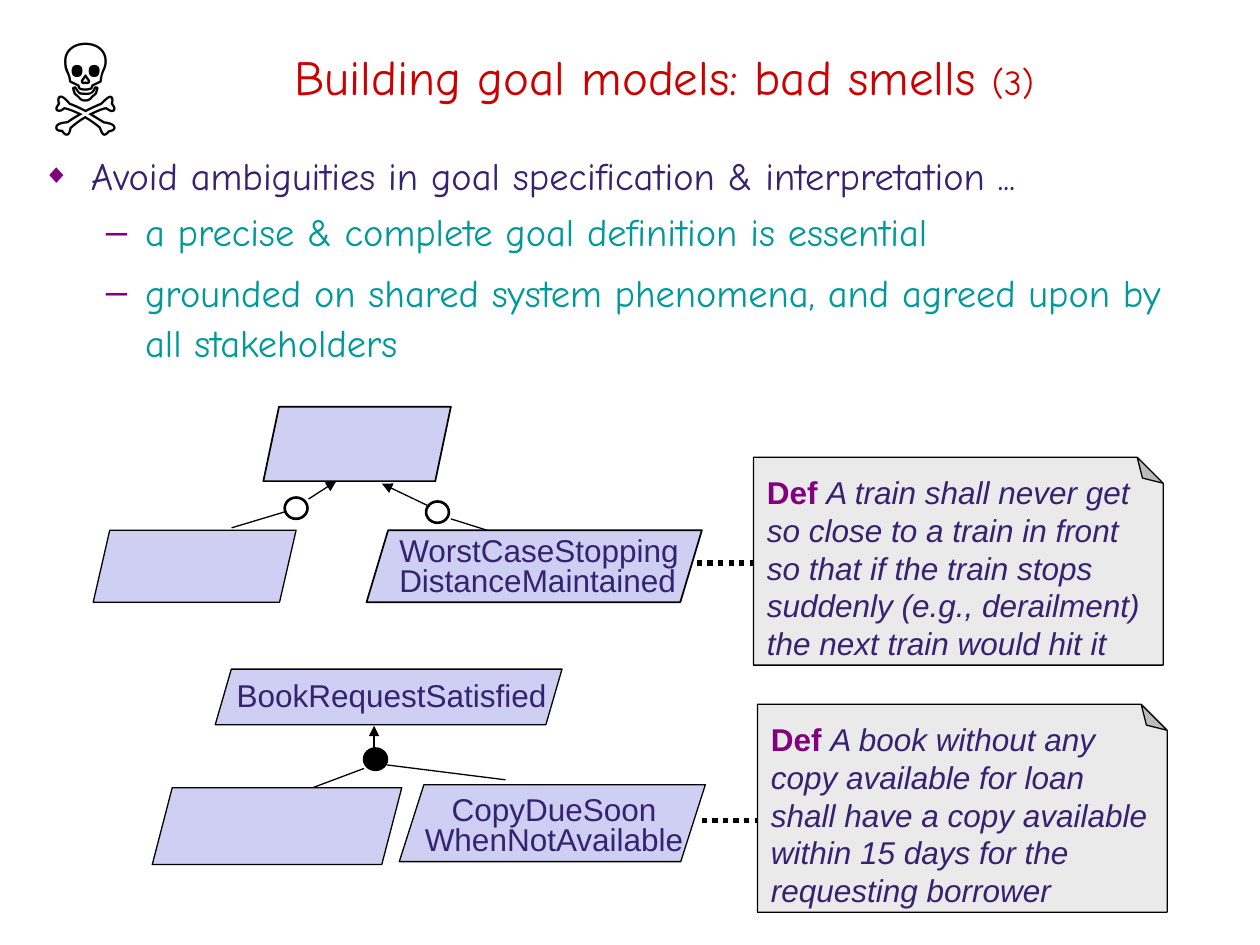
from dataclasses import dataclass
from typing import NamedTuple, Optional

from lxml import etree
from pptx import Presentation
from pptx import util as u
from pptx.dml.color import RGBColor
from pptx.enum import dml, shapes, text
from pptx.oxml import ns


@dataclass(frozen=True)
class Theme:
    title: str = "CC0000"
    ink: str = "352270"
    accent: str = "800080"
    detail: str = "009999"
    goal: str = "CECFF2"
    note: str = "EAEAEA"
    black: str = "000000"
    heading_font: str = "Comic Neue"
    label_font: str = "Arial"
    title_size: int = 28
    number_size: int = 20
    body_size: int = 22
    label_size: int = 18
    symbol_size: int = 54


THEME = Theme()


class Box(NamedTuple):
    """Left, top, width and height in centimetres."""
    left: float
    top: float
    width: float
    height: float

    def lengths(self) -> list:
        return [u.Cm(value) for value in self]


class Goal(NamedTuple):
    box: Box
    slant: float
    line_width: float = 0.75


class Label(NamedTuple):
    box: Box
    lines: tuple
    align: Optional[text.PP_ALIGN] = None
    spacing: float = 0.8


class Link(NamedTuple):
    start: tuple
    end: tuple
    arrow: bool = False
    dotted: bool = False


class Joint(NamedTuple):
    left: float
    top: float
    filled: bool = False


class Note(NamedTuple):
    left: float
    top: float
    definition: str


class Bullet(NamedTuple):
    words: str
    level: int
    colour: str
    symbol: str
    symbol_percent: int
    indent: float
    hanging: float
    line_spacing: float
    space_before: float


GOALS = [
    Goal(Box(5.31, 8.2, 3.78, 1.5), 0.21, 1),
    Goal(Box(1.88, 10.69, 4.09, 1.45), 0.23),
    Goal(Box(7.39, 10.69, 6.76, 1.45), 0.3, 1),
    Goal(Box(4.34, 13.49, 6.99, 1.12), 0.29),
    Goal(Box(3.07, 15.88, 5.03, 1.55), 0.26),
    Goal(Box(8.05, 15.82, 6.17, 1.55), 0.32),
]
LABELS = [
    Label(Box(7.8, 10.72, 6.38, 1.35), ("WorstCaseStopping", "DistanceMaintained")),
    Label(Box(4.52, 13.51, 6.78, 0.99), ("BookRequestSatisfied",), spacing=1.0),
    Label(Box(8.26, 15.95, 5.82, 1.45), ("CopyDueSoon", "WhenNotAvailable"),
          text.PP_ALIGN.CENTER),
]
LINKS = [
    Link((4.67, 10.64), (5.77, 10.31)),
    Link((6.22, 10.06), (6.78, 9.7), arrow=True),
    Link((10.49, 10.9), (9.09, 10.46)),
    Link((8.66, 10.21), (7.7, 9.75), arrow=True),
    Link((14.05, 11.35), (15.37, 11.35), dotted=True),
    Link((6.3, 15.88), (7.34, 15.49)),
    Link((10.19, 15.72), (7.8, 15.42)),
    Link((7.54, 15.14), (7.54, 14.63), arrow=True),
    Link((14.15, 16.54), (15.47, 16.54), dotted=True),
]
JOINTS = [Joint(5.74, 10.03), Joint(8.59, 10.11), Joint(7.34, 15.09, filled=True)]
NOTES = [
    Note(15.19, 9.22, "A train shall never get so close to a train in front so that if "
         "the train stops suddenly (e.g., derailment) the next train would hit it"),
    Note(15.27, 14.2, "A book without any copy available for loan shall have a copy "
         "available within 15 days for the requesting borrower"),
]
BULLETS = [
    Bullet("Avoid ambiguities in goal specification & interpretation ...",
           0, THEME.ink, "◆", 70, 0.97, 0.97, 1.3, 0),
    Bullet("a precise & complete goal definition is essential",
           1, THEME.detail, "–", 100, 2.06, 0.79, 1.0, 5.5),
    Bullet("grounded on shared system phenomena, and agreed upon by all stakeholders",
           1, THEME.detail, "–", 100, 2.06, 0.79, 1.1, 5.5),
]


def add_run(paragraph, words: str, *, size: float = THEME.label_size,
            colour: str = THEME.ink, font: str = THEME.label_font,
            bold: bool = False, italic: bool = False) -> None:
    run = paragraph.add_run()
    run.text = words
    run.font.size, run.font.name = u.Pt(size), font
    run.font.bold, run.font.italic = bold, italic
    run.font.color.rgb = RGBColor.from_string(colour)


def paragraph_at(frame, index: int):
    return frame.add_paragraph() if index else frame.paragraphs[0]


def add_text_box(slide, box: Box):
    frame = slide.shapes.add_textbox(*box.lengths()).text_frame
    frame.word_wrap = True
    return frame


def add_preset(slide, kind, box: Box, fill: Optional[str], line_width: float):
    shape = slide.shapes.add_shape(kind, *box.lengths())
    shape.shadow.inherit = False
    if fill:
        shape.fill.solid()
        shape.fill.fore_color.rgb = RGBColor.from_string(fill)
    else:
        shape.fill.background()
    shape.line.color.rgb = RGBColor.from_string(THEME.black)
    shape.line.width = u.Pt(line_width)
    return shape


def add_goal(slide, goal: Goal) -> None:
    shape = add_preset(slide, shapes.MSO_SHAPE.PARALLELOGRAM, goal.box, THEME.goal,
                       goal.line_width)
    shape.adjustments[0] = goal.slant


def add_label(slide, label: Label) -> None:
    frame = add_text_box(slide, label.box)
    for index, words in enumerate(label.lines):
        paragraph = paragraph_at(frame, index)
        paragraph.alignment, paragraph.line_spacing = label.align, label.spacing
        add_run(paragraph, words)


def add_link(slide, link: Link) -> None:
    points = [u.Cm(value) for value in (*link.start, *link.end)]
    connector = slide.shapes.add_connector(shapes.MSO_CONNECTOR.STRAIGHT, *points)
    connector.line.color.rgb = RGBColor.from_string(THEME.black)
    connector.line.width = u.Pt(3 if link.dotted else 0.75)
    if link.dotted:
        connector.line.dash_style = dml.MSO_LINE.ROUND_DOT
    if link.arrow:
        etree.SubElement(connector.line._get_or_add_ln(), ns.qn("a:tailEnd"), type="triangle")
    etree.SubElement(connector._element.spPr, ns.qn("a:effectLst"))


def add_joint(slide, joint: Joint) -> None:
    add_preset(slide, shapes.MSO_SHAPE.OVAL, Box(joint.left, joint.top, 0.46, 0.43),
               THEME.black if joint.filled else None, 1.5)


def add_note(slide, note: Note) -> None:
    """Draw a sheet folded at its top right corner, with its definition on it."""
    properties = add_preset(slide, shapes.MSO_SHAPE.FOLDED_CORNER,
                            Box(note.left, note.top, 8.26, 4.19), THEME.note, 0.75)._element.spPr
    guides = properties.find(ns.qn("a:prstGeom")).get_or_add_avLst()
    etree.SubElement(guides, ns.qn("a:gd"), name="adj", fmla="val 12500")
    properties.find(ns.qn("a:xfrm")).set("flipV", "1")
    frame = add_text_box(slide, Box(note.left + 0.02, note.top + 0.19, 8.23, 3.96))
    add_run(frame.paragraphs[0], "Def ", colour=THEME.accent, bold=True)
    add_run(frame.paragraphs[0], note.definition, italic=True)


def add_bullet(paragraph, bullet: Bullet) -> None:
    paragraph.level = bullet.level
    properties = paragraph._p.get_or_add_pPr()
    properties.set("marL", str(u.Cm(bullet.indent)))
    properties.set("indent", str(-u.Cm(bullet.hanging)))
    colour = etree.SubElement(properties, ns.qn("a:buClr"))
    etree.SubElement(colour, ns.qn("a:srgbClr"), val=THEME.accent)
    etree.SubElement(properties, ns.qn("a:buSzPct"), val=str(bullet.symbol_percent * 1000))
    etree.SubElement(properties, ns.qn("a:buChar"), char=bullet.symbol)
    paragraph.line_spacing = bullet.line_spacing
    paragraph.space_before = u.Pt(bullet.space_before)
    add_run(paragraph, bullet.words, size=THEME.body_size, colour=bullet.colour,
            font=THEME.heading_font)


def place(placeholder, box: Box):
    placeholder.left, placeholder.top, placeholder.width, placeholder.height = box.lengths()
    frame = placeholder.text_frame
    frame.auto_size = text.MSO_AUTO_SIZE.NONE
    frame.vertical_anchor = text.MSO_ANCHOR.MIDDLE
    return frame


def fill_placeholders(slide) -> None:
    heading = place(slide.shapes.title, Box(1.37, 0.56, 24.03, 2.11)).paragraphs[0]
    heading.alignment, heading.line_spacing = text.PP_ALIGN.CENTER, 0.9
    for words, size in (("Building goal models: bad smells ", THEME.title_size),
                        ("(3)", THEME.number_size)):
        add_run(heading, words, size=size, colour=THEME.title, font=THEME.heading_font)
    body = place(slide.placeholders[1], Box(0.61, 2.36, 23.37, 5.44))
    for index, bullet in enumerate(BULLETS):
        add_bullet(paragraph_at(body, index), bullet)


def add_warning_symbol(slide) -> None:
    frame = add_text_box(slide, Box(0.61, 0.08, 2.24, 2.77))
    frame.vertical_anchor = text.MSO_ANCHOR.MIDDLE
    paragraph = frame.paragraphs[0]
    paragraph.alignment, paragraph.line_spacing = text.PP_ALIGN.CENTER, 1.1
    add_run(paragraph, "☠", size=THEME.symbol_size, colour=THEME.black)


def main() -> None:
    presentation = Presentation()
    presentation.slide_width, presentation.slide_height = u.Cm(25.4), u.Cm(19.05)
    slide = presentation.slides.add_slide(presentation.slide_layouts[1])
    fill_placeholders(slide)
    add_warning_symbol(slide)
    for draw, items in ((add_link, LINKS), (add_goal, GOALS), (add_label, LABELS),
                        (add_joint, JOINTS), (add_note, NOTES)):
        for item in items:
            draw(slide, item)
    presentation.save("out.pptx")


if __name__ == "__main__":
    main()
